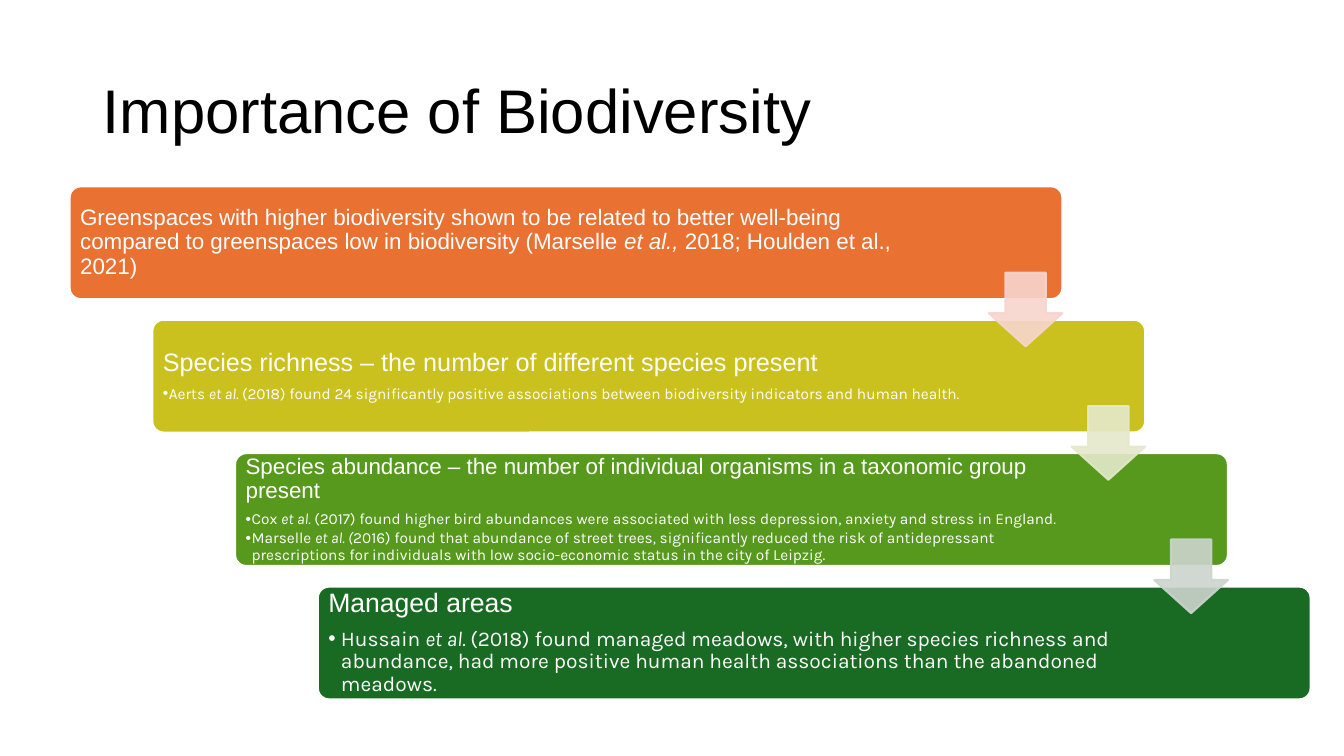
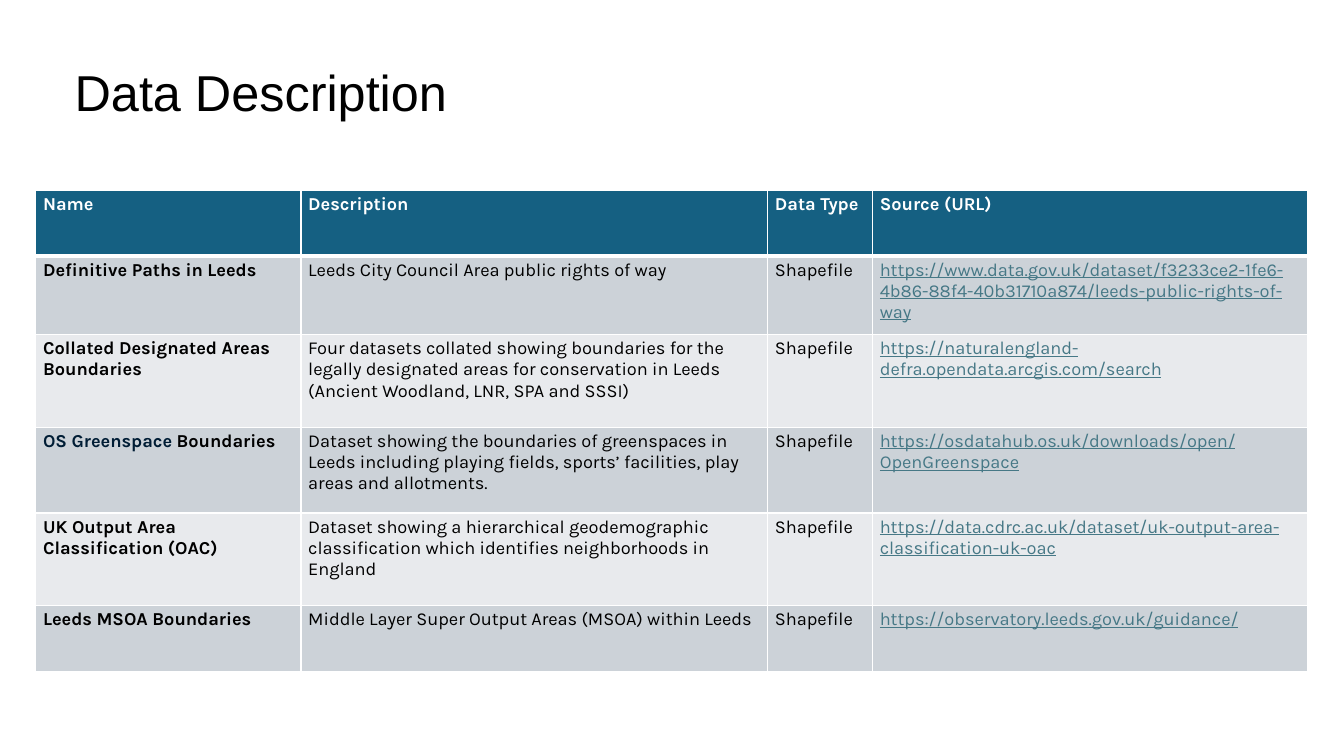
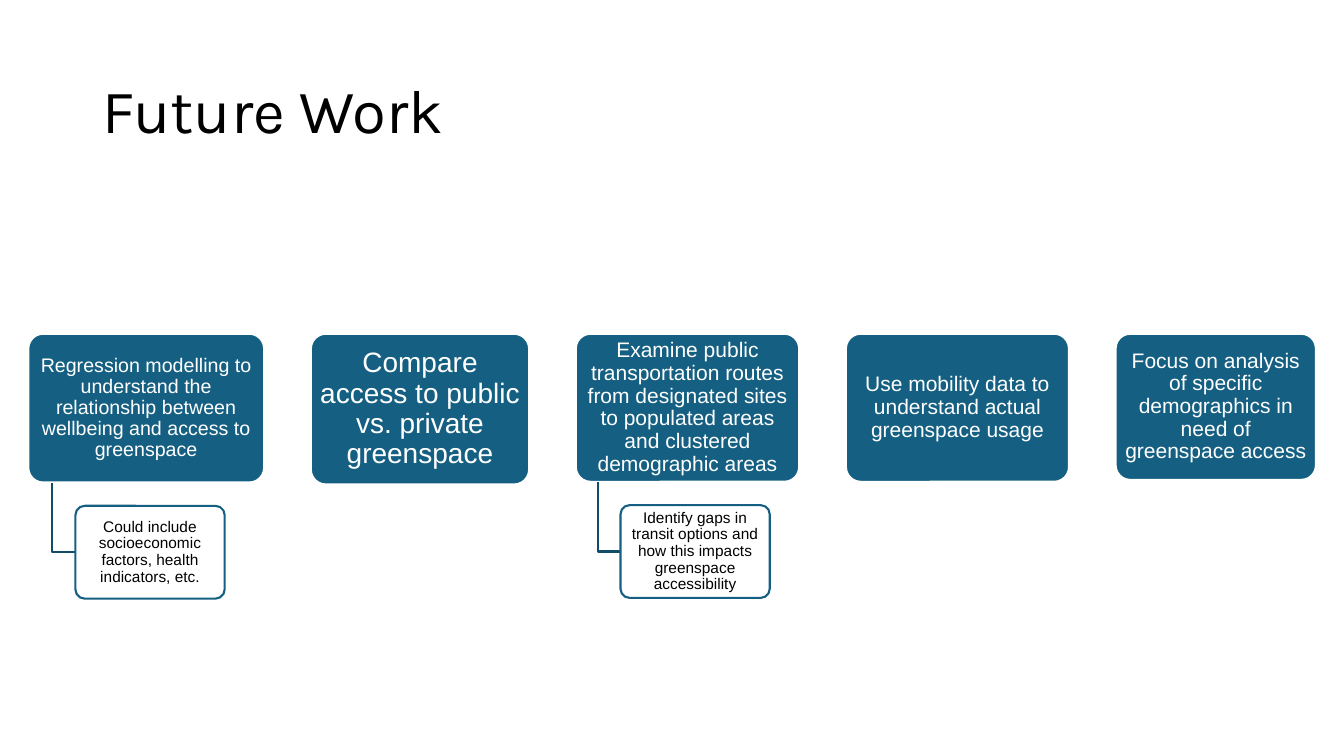
"""Build three slides on biodiversity, greenspace data and future work."""
import lxml.etree
import pptx
import pptx.dml.color
import pptx.enum.shapes
import pptx.enum.text
import pptx.oxml.ns
import pptx.util
from dataclasses import dataclass

Pt = pptx.util.Pt
qn = pptx.oxml.ns.qn
SHAPES = pptx.enum.shapes.MSO_SHAPE
ALIGN = pptx.enum.text.PP_ALIGN


@dataclass(frozen=True)
class Theme:
    sans: str = "Arial"
    karla: str = "Karla"
    white: str = "FFFFFF"
    black: str = "000000"
    navy: str = "001D35"
    blue: str = "156082"
    elbow: str = "114D68"
    link: str = "467886"
    bands: tuple = ("CCD2D8", "E8EAED")
    steps: tuple = ("E97132", "CBC11E", "56991D", "196B24")
    arrows: tuple = ("F7D5CE", "E5E8CA", "CCD4CD")
    title: int = 44
    table_title: int = 36
    table: int = 13
    note: int = 11
    leading: float = 0.9
    outline: float = 1.5
    corner: float = 0.1


THEME = Theme()
WIDE_TITLE = (66.2, 28.8, 828, 104.4)
TABLE_TITLE = (46.1, 19.4, 552.2, 97.2)
TITLE_BAND = (0, 0, 960, 133.9)

STEPS = [
    dict(size=16, right=95, bullet_size=11, indent=4.3, bullets=[], heading=[
        "Greenspaces with higher biodiversity shown to be related to better well-being "
        "compared to greenspaces low in biodiversity (Marselle ", "et al., ",
        "2018; Houlden et al., 2021)"]),
    dict(size=18, right=117, bullet_size=11, indent=4.3,
         heading=["Species richness – the number of different species present"],
         bullets=[["Aerts ", "et al. ", "(2018) found 24 significantly positive associations "
                   "between biodiversity indicators and human health."]]),
    dict(size=16, right=117, bullet_size=11, indent=4.3,
         heading=["Species abundance – the number of individual organisms in a taxonomic "
                  "group present"],
         bullets=[["Cox ", "et al. ", "(2017) found higher bird abundances were associated "
                   "with less depression, anxiety and stress in England."],
                  ["Marselle ", "et al. (", "2016) found that abundance of street trees, "
                   "significantly reduced the risk of antidepressant prescriptions for "
                   "individuals with low socio-economic status in the city of Leipzig."]]),
    dict(size=19, right=117, bullet_size=15, indent=9, heading=["Managed areas"],
         bullets=[["Hussain ", "et al. ", "(2018) found managed meadows, with higher species "
                   "richness and abundance, had more positive human health associations than "
                   "the abandoned meadows."]]),
]

HEADER = ("Name", "Description", "Data Type", "Source (URL)")
DATASETS = [
    ("Definitive Paths in Leeds", "Leeds City Council Area public rights of way", "Shapefile",
     "https://www.data.gov.uk/dataset/f3233ce2-1fe6-4b86-88f4-40b31710a874/"
     "leeds-public-rights-of-way"),
    ("Collated Designated Areas Boundaries",
     "Four datasets collated showing boundaries for the legally designated areas for "
     "conservation in Leeds (Ancient Woodland, LNR, SPA and SSSI)", "Shapefile",
     "https://naturalengland-defra.opendata.arcgis.com/search"),
    ("OS Greenspace Boundaries",
     "Dataset showing the boundaries of greenspaces in Leeds including playing fields, "
     "sports’ facilities, play areas and allotments.", "Shapefile",
     "https://osdatahub.os.uk/downloads/open/OpenGreenspace"),
    ("UK Output Area Classification (OAC)",
     "Dataset showing a hierarchical geodemographic classification which identifies "
     "neighborhoods in England", "Shapefile",
     "https://data.cdrc.ac.uk/dataset/uk-output-area-classification-uk-oac"),
    ("Leeds MSOA Boundaries", "Middle Layer Super Output Areas (MSOA) within Leeds",
     "Shapefile", "https://observatory.leeds.gov.uk/guidance/"),
]
NAVY_NAME = "OS Greenspace "
COLUMN_WIDTHS = (189.4, 333.4, 74.9, 311)
ROW_HEIGHTS = (46.8, 56.2, 66.2, 61.2, 66.2, 46.8)

IDEAS = [
    ("Regression modelling to understand the relationship between wellbeing and access to "
     "greenspace", 14, 168.5, 106.3,
     "Could include socioeconomic factors, health indicators, etc."),
    ("Compare access to public vs. private greenspace", 20, 156, 107.7, None),
    ("Examine public transportation routes from designated sites to populated areas and "
     "clustered demographic areas", 15, 159.6, 105.8,
     "Identify gaps in transit options and how this impacts greenspace accessibility"),
    ("Use mobility data to understand actual greenspace usage", 15, 159.4, 105.8, None),
    ("Focus on analysis of specific demographics in need of greenspace access",
     15, 143.1, 104.4, None),
]


def rgb(colour):
    return pptx.dml.color.RGBColor.from_string(colour)


def style(font, face, size, colour, bold=False):
    font.name, font.size, font.bold = face, Pt(size), bold
    font.color.rgb = rgb(colour)


def titled_slide(deck, text, box, face, size):
    slide = deck.slides.add_slide(deck.slide_layouts[5])
    title = slide.shapes.title
    title.left, title.top, title.width, title.height = map(Pt, box)
    title.text_frame.text = text
    title.text_frame.auto_size = pptx.enum.text.MSO_AUTO_SIZE.NONE
    title.text_frame.vertical_anchor = pptx.enum.text.MSO_ANCHOR.MIDDLE
    heading = title.text_frame.paragraphs[0]
    heading.alignment, heading.line_spacing = ALIGN.LEFT, THEME.leading
    style(heading.font, face, size, THEME.black)
    return slide


def add_block(slide, kind, box, fill, line=None, adjustments=()):
    block = slide.shapes.add_shape(kind, *map(Pt, box))
    block.shadow.inherit = False
    block.fill.solid()
    block.fill.fore_color.rgb = rgb(fill)
    if line:
        block.line.color.rgb = rgb(line)
        block.line.width = Pt(THEME.outline)
    else:
        block.line.fill.background()
    for index, value in enumerate(adjustments):
        block.adjustments[index] = value
    return block


def add_card(slide, box, fill, line, left, right):
    card = add_block(slide, SHAPES.ROUNDED_RECTANGLE, box, fill, line, [THEME.corner])
    frame = card.text_frame
    frame.word_wrap = True
    frame.margin_left, frame.margin_right = Pt(left), Pt(right)
    frame.margin_top = frame.margin_bottom = 0
    return frame


def write(paragraph, pieces, face, size, colour, align, after=0, indent=0):
    """Write the pieces as runs, every second one italic."""
    if indent:
        properties = paragraph._p.get_or_add_pPr()
        properties.set("marL", str(Pt(indent)))
        properties.set("indent", str(-Pt(indent)))
        lxml.etree.SubElement(properties, qn("a:buFont")).set("typeface", THEME.sans)
        lxml.etree.SubElement(properties, qn("a:buChar")).set("char", "•")
    paragraph.alignment, paragraph.line_spacing = align, THEME.leading
    paragraph.space_after = Pt(after)
    style(paragraph.font, face, size, colour)
    for index, piece in enumerate(pieces):
        run = paragraph.add_run()
        run.text = piece
        if index % 2:
            run.font.italic = True


def build_importance(deck):
    slide = titled_slide(deck, "Importance of Biodiversity", WIDE_TITLE, THEME.sans, THEME.title)
    left, top, width, height = 49.7, 133.1, 709.2, 80.6
    across, down, arrow_size, arrow_drop = 59.1, 95.3, 52.6, 61.7
    for index, (step, fill) in enumerate(zip(STEPS, THEME.steps)):
        box = (left + index * across, top + index * down, width, height)
        frame = add_card(slide, box, fill, THEME.white, 5.2, step["right"])
        write(frame.paragraphs[0], step["heading"], THEME.sans, step["size"], THEME.white,
              ALIGN.LEFT, after=round(step["size"] * 0.35, 1))
        for bullet in step["bullets"]:
            write(frame.add_paragraph(), bullet, THEME.karla, step["bullet_size"], THEME.white,
                  ALIGN.LEFT, round(step["bullet_size"] * 0.15, 1), step["indent"])
    for index, colour in enumerate(THEME.arrows):
        box = (left + index * across + width - arrow_size, top + index * down + arrow_drop,
               arrow_size, arrow_size)
        arrow = add_block(slide, SHAPES.DOWN_ARROW, box, colour, colour, [0.55, 0.45])
        for paint in arrow._element.spPr.iter(qn("a:srgbClr")):
            lxml.etree.SubElement(paint, qn("a:alpha")).set("val", "90000")


def add_border(cell, position, side, width):
    line = lxml.etree.Element(qn(f"a:ln{side}"), w=str(Pt(width)))
    paint = lxml.etree.SubElement(line, qn("a:solidFill"))
    lxml.etree.SubElement(paint, qn("a:srgbClr")).set("val", THEME.white)
    cell._tc.get_or_add_tcPr().insert(position, line)


def fill_cell(cell, text, row, column):
    header = row == 0
    cell.fill.solid()
    cell.fill.fore_color.rgb = rgb(THEME.blue if header else THEME.bands[(row - 1) % 2])
    cell.margin_left = cell.margin_right = Pt(5.2)
    cell.margin_top = cell.margin_bottom = Pt(2.6)
    sides = "LRTB" if header else "LRB"
    for position, side in enumerate(sides):
        add_border(cell, position, side, 3 if header and side == "B" else 1)
    paragraph = cell.text_frame.paragraphs[0]
    is_link = column == 3 and not header
    colour = THEME.white if header else THEME.link if is_link else THEME.black
    style(paragraph.font, THEME.karla, THEME.table, colour, header or column == 0)
    if is_link:
        paragraph.font.underline = True
    if text.startswith(NAVY_NAME):
        name = paragraph.add_run()
        name.text = NAVY_NAME
        name.font.color.rgb = rgb(THEME.navy)
        text = text.removeprefix(NAVY_NAME)
    paragraph.add_run().text = text


def build_data(deck):
    slide = titled_slide(deck, "Data Description", TABLE_TITLE, THEME.sans, THEME.table_title)
    band = add_block(slide, SHAPES.RECTANGLE, TITLE_BAND, THEME.white)
    slide.shapes.title._element.addprevious(band._element)
    rows = [HEADER, *DATASETS]
    table = slide.shapes.add_table(len(rows), len(HEADER), Pt(25.6), Pt(136),
                                   Pt(sum(COLUMN_WIDTHS)), Pt(sum(ROW_HEIGHTS))).table
    table.first_row = table.horz_banding = False
    for column, width in zip(table.columns, COLUMN_WIDTHS):
        column.width = Pt(width)
    for row, height in zip(table.rows, ROW_HEIGHTS):
        row.height = Pt(height)
    for row, texts in enumerate(rows):
        for column, text in enumerate(texts):
            fill_cell(table.cell(row, column), text, row, column)


def add_note(slide, text, left, bottom, idea_width):
    width, height, gap = 106.6, 66.3, 16.6
    stem, note_left, note_top = left + idea_width / 10, left + idea_width / 5, bottom + gap
    middle = note_top + height / 2
    builder = slide.shapes.build_freeform(Pt(stem), Pt(bottom))
    builder.add_line_segments([(Pt(stem), Pt(middle)), (Pt(note_left), Pt(middle))], close=False)
    elbow = builder.convert_to_shape()
    elbow.shadow.inherit = False
    elbow.fill.background()
    elbow.line.color.rgb = rgb(THEME.elbow)
    elbow.line.width = Pt(THEME.outline)
    frame = add_card(slide, (note_left, note_top, width, height), THEME.white, THEME.blue, 1.5, 1.5)
    write(frame.paragraphs[0], [text], THEME.sans, THEME.note, THEME.black, ALIGN.CENTER)


def build_future(deck):
    slide = titled_slide(deck, "Future Work", WIDE_TITLE, THEME.karla, THEME.title)
    left, top, gap = 20.2, 238.4, 33.3
    for text, size, width, height, note in IDEAS:
        frame = add_card(slide, (left, top, width, height), THEME.blue, THEME.white, 2.6, 2.6)
        write(frame.paragraphs[0], [text], THEME.sans, size, THEME.white, ALIGN.CENTER)
        if note:
            add_note(slide, note, left, top + height, width)
        left += width + gap


def main():
    deck = pptx.Presentation()
    deck.slide_width, deck.slide_height = Pt(960), Pt(540)
    build_importance(deck)
    build_data(deck)
    build_future(deck)
    deck.save("out.pptx")


if __name__ == "__main__":
    main()
